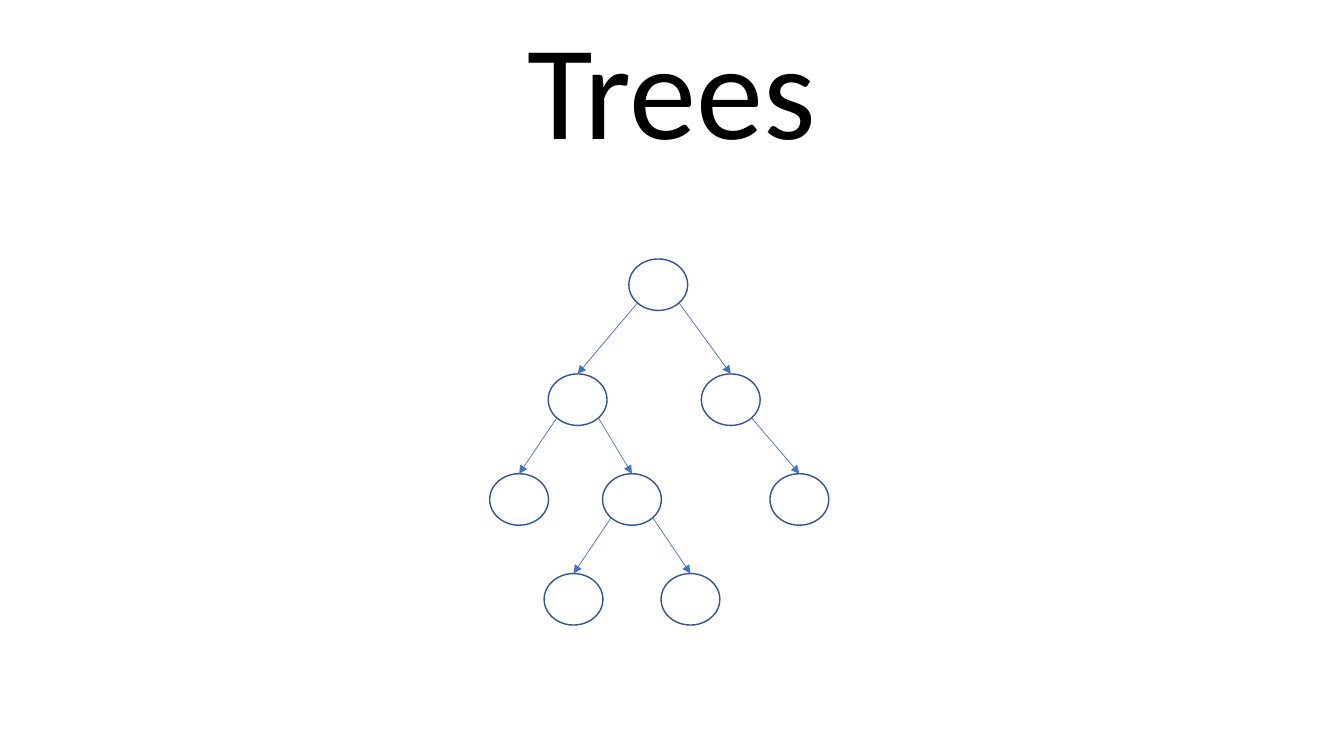
"""Build a slide that shows a binary tree under a title."""
from math import sqrt

from lxml.etree import SubElement
from pptx import Presentation
from pptx.dml.color import RGBColor
from pptx.enum.shapes import MSO_CONNECTOR, MSO_SHAPE
from pptx.enum.text import MSO_ANCHOR, PP_ALIGN
from pptx.oxml.ns import qn
from pptx.util import Pt

LEVEL_TOPS = [185, 267.1, 338.4, 409.7]
NODES = {
    "root": (470.2, 0),
    "left": (412.6, 1),
    "right": (522, 1),
    "left_left": (370.8, 2),
    "left_right": (451.4, 2),
    "right_right": (571, 2),
    "left_right_left": (409.7, 3),
    "left_right_right": (493.2, 3),
}
EDGES = [
    ("root", "left"),
    ("root", "right"),
    ("left", "left_left"),
    ("left", "left_right"),
    ("right", "right_right"),
    ("left_right", "left_right_left"),
    ("left_right", "left_right_right"),
]


def color(hex_string):
    return RGBColor.from_string(hex_string)


class TreeSlide:
    font_name = "Calibri"
    text_color = "000000"
    node_color = "325491"
    edge_color = "4472C4"
    node_width = 42
    node_height = 36.8

    def __init__(self, presentation):
        self.slide = presentation.slides.add_slide(presentation.slide_layouts[6])

    def add_title(self, text, width, height, size):
        shape = self.slide.shapes.add_textbox(0, 0, Pt(width), Pt(height))
        text_frame = shape.text_frame
        text_frame.word_wrap = True
        text_frame.vertical_anchor = MSO_ANCHOR.TOP
        text_frame.text = text
        paragraph = text_frame.paragraphs[0]
        paragraph.alignment = PP_ALIGN.CENTER
        font = paragraph.runs[0].font
        font.name = self.font_name
        font.size = Pt(size)
        font.color.rgb = color(self.text_color)

    def add_node(self, center, top):
        shape = self.slide.shapes.add_shape(
            MSO_SHAPE.OVAL,
            Pt(center - self.node_width / 2),
            Pt(top),
            Pt(self.node_width),
            Pt(self.node_height),
        )
        shape.shadow.inherit = False
        shape.fill.background()
        shape.line.color.rgb = color(self.node_color)
        shape.line.width = Pt(1)

    def add_edge(self, parent_center, parent_top, child_center, child_top):
        side = 1 if child_center > parent_center else -1
        diagonal = 1 / sqrt(2)
        start_x = parent_center + side * diagonal * self.node_width / 2
        start_y = parent_top + (1 + diagonal) * self.node_height / 2
        connector = self.slide.shapes.add_connector(
            MSO_CONNECTOR.STRAIGHT,
            Pt(start_x), Pt(start_y), Pt(child_center), Pt(child_top),
        )
        connector.line.color.rgb = color(self.edge_color)
        connector.line.width = Pt(0.5)
        properties = connector.element.spPr
        SubElement(properties.find(qn("a:ln")), qn("a:tailEnd"), type="triangle")
        SubElement(properties, qn("a:effectLst"))


def main():
    presentation = Presentation()
    presentation.slide_width = Pt(960)
    presentation.slide_height = Pt(540)
    tree = TreeSlide(presentation)
    positions = {
        name: (center, LEVEL_TOPS[level])
        for name, (center, level) in NODES.items()
    }
    for center, top in positions.values():
        tree.add_node(center, top)
    for parent, child in EDGES:
        tree.add_edge(*positions[parent], *positions[child])
    tree.add_title("Trees", 960, 123.8, 96)
    presentation.save("out.pptx")


if __name__ == "__main__":
    main()
